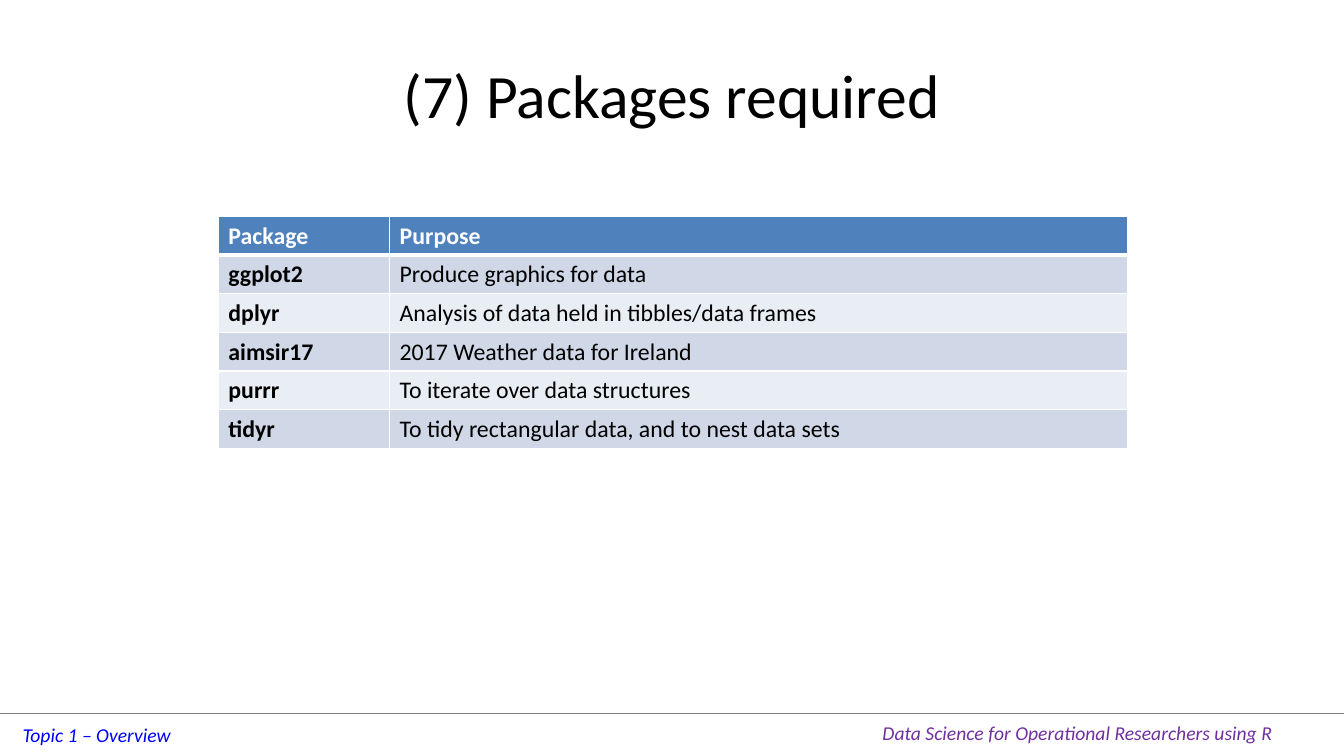
from lxml import etree
from pptx import Presentation
from pptx.dml.color import RGBColor
from pptx.enum.shapes import MSO_CONNECTOR
from pptx.enum.text import MSO_ANCHOR, MSO_AUTO_SIZE, PP_ALIGN
from pptx.oxml.ns import qn
from pptx.util import Pt

PX = 9525
WIDE, HIGH = 1280, 720
FONT = "Calibri"
WHITE = RGBColor(0xFF, 0xFF, 0xFF)
BLACK = RGBColor(0, 0, 0)
GREY = RGBColor(0x80, 0x80, 0x80)
BLUE = RGBColor(0, 0, 0xFF)
PURPLE = RGBColor(0x70, 0x30, 0xA0)
HEAD = RGBColor(0x4F, 0x81, 0xBD)
BANDS = (RGBColor(0xE9, 0xED, 0xF4), RGBColor(0xD0, 0xD8, 0xE8))

STRAIGHT = MSO_CONNECTOR.STRAIGHT
MIDDLE = MSO_ANCHOR.MIDDLE
GROW = MSO_AUTO_SIZE.SHAPE_TO_FIT_TEXT
LEFT, CENTER = PP_ALIGN.LEFT, PP_ALIGN.CENTER

COLS = (163, 703)
ROW = 36
ROWS = (
    ("Package", "Purpose"),
    ("ggplot2", "Produce graphics for data"),
    ("dplyr", "Analysis of data held in tibbles/data frames"),
    ("aimsir17", "2017 Weather data for Ireland"),
    ("purrr", "To iterate over data structures"),
    ("tidyr", "To tidy rectangular data, and to nest data sets"),
)


def px(*nums):
    return [n * PX for n in nums]


def style(frame, size, color, bold=False, italic=False):
    for run in frame.paragraphs[0].runs:
        font = run.font
        font.name, font.size = FONT, Pt(size)
        font.bold, font.italic = bold, italic
        font.color.rgb = color


def add_text(slide, box, text, size, color, italic=False, align=LEFT):
    frame = slide.shapes.add_textbox(*px(*box)).text_frame
    frame.text = text
    frame.paragraphs[0].alignment = align
    style(frame, size, color, italic=italic)
    return frame


def add_foot(slide, box, text, color):
    frame = add_text(slide, box, text, 14, color, italic=True)
    frame.word_wrap = False
    frame.auto_size = GROW


def add_title(slide, text):
    frame = add_text(slide, (64, 29, 1152, 120), text, 44, BLACK, align=CENTER)
    frame.word_wrap = True
    frame.vertical_anchor = MIDDLE


def add_rule(slide, y):
    rule = slide.shapes.add_connector(STRAIGHT, *px(0, y, WIDE, y))
    rule.line.color.rgb = GREY
    rule.line.width = Pt(0.25)
    etree.SubElement(rule._element.spPr, qn("a:effectLst"))


def edge(cell, side, width):
    """Draw one white border of a cell."""
    props = cell._tc.get_or_add_tcPr()
    line = etree.SubElement(props, qn("a:ln" + side), w=str(Pt(width)))
    fill = etree.SubElement(line, qn("a:solidFill"))
    etree.SubElement(fill, qn("a:srgbClr"), val=str(WHITE))


def add_grid(slide, x, y):
    size = px(x, y, sum(COLS), ROW * len(ROWS))
    table = slide.shapes.add_table(len(ROWS), len(COLS), *size).table
    for col, width in zip(table.columns, COLS):
        col.width = width * PX
    for r, row in enumerate(ROWS):
        table.rows[r].height = ROW * PX
        for c, text in enumerate(row):
            cell = table.cell(r, c)
            widths = {"L": 1, "R": 1, "T": 3 if r == 1 else 1, "B": 3 if r == 0 else 1}
            for side, width in widths.items():
                edge(cell, side, width)
            cell.fill.solid()
            cell.fill.fore_color.rgb = BANDS[r % 2] if r else HEAD
            cell.text_frame.text = text
            style(cell.text_frame, 17, BLACK if r else WHITE, bold=r == 0 or c == 0)


def main():
    prs = Presentation()
    prs.slide_width, prs.slide_height = px(WIDE, HIGH)
    slide = prs.slides.add_slide(prs.slide_layouts[6])
    add_rule(slide, 679)
    add_foot(slide, (12, 684, 161, 33), "Topic 1 – Overview", BLUE)
    add_foot(slide, (831, 682, 395, 33),
             "Data Science for Operational Researchers using R", PURPLE)
    add_title(slide, "(7) Packages required")
    add_grid(slide, 208, 206)
    prs.save("out.pptx")


if __name__ == "__main__":
    main()
